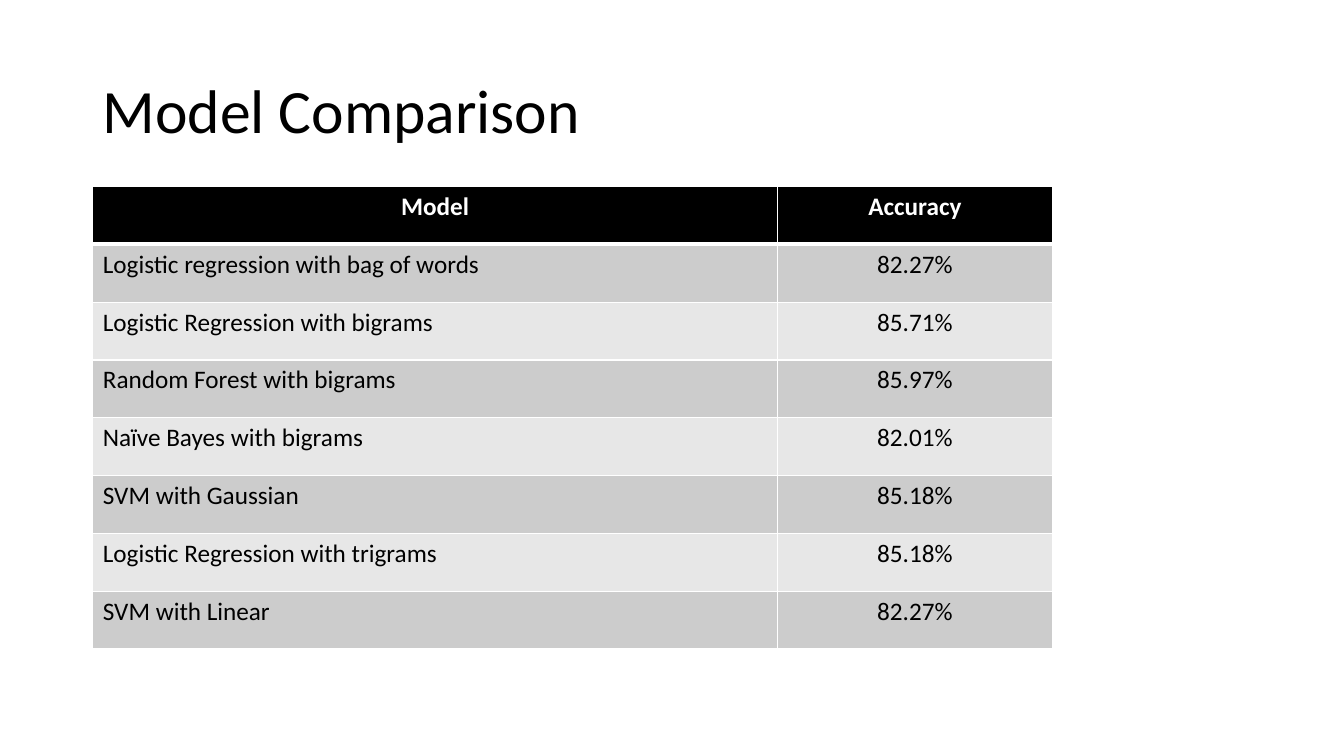
from lxml import etree
from pptx import Presentation
from pptx import util as u
from pptx.dml.color import RGBColor
from pptx.enum import text
from pptx.oxml.ns import qn

FONT = "Calibri"
BLACK, WHITE = "000000", "FFFFFF"
BANDS = ["CCCCCC", "E7E7E7"]
ROWS = [
    ("Model", "Accuracy"),
    ("Logistic regression with bag of words", "82.27%"),
    ("Logistic Regression with bigrams", "85.71%"),
    ("Random Forest with bigrams", "85.97%"),
    ("Naïve Bayes with bigrams", "82.01%"),
    ("SVM with Gaussian", "85.18%"),
    ("Logistic Regression with trigrams", "85.18%"),
    ("SVM with Linear", "82.27%"),
]


def color(code):
    return RGBColor.from_string(code)


def style(para, size, code, bold=False):
    font = para.font
    font.name, font.size, font.bold = FONT, u.Pt(size), bold
    font.color.rgb = color(code)


def add_title(slide, words, left, top, width, height):
    box = slide.shapes.add_textbox(*map(u.Inches, (left, top, width, height)))
    frame = box.text_frame
    frame.word_wrap = True
    frame.vertical_anchor = text.MSO_ANCHOR.MIDDLE
    para = frame.paragraphs[0]
    para.text = words
    para.line_spacing = 0.9
    style(para, 44, BLACK)


def add_edges(cell, widths):
    """Draw white cell borders; widths are in points by side."""
    props = cell._tc.get_or_add_tcPr()
    for side, width in widths.items():
        line = etree.SubElement(props, qn("a:ln" + side), w=str(u.Pt(width)))
        fill = etree.SubElement(line, qn("a:solidFill"))
        etree.SubElement(fill, qn("a:srgbClr"), val=WHITE)


def add_grid(slide, rows, left, top, widths, height):
    size = map(u.Inches, (left, top, sum(widths), height))
    table = slide.shapes.add_table(len(rows), len(widths), *size).table
    for col, width in zip(table.columns, widths):
        col.width = u.Inches(width)
    for i, row in enumerate(rows):
        head = i == 0
        for j, words in enumerate(row):
            cell = table.cell(i, j)
            # Thicker rule between the header and the body
            add_edges(cell, {"L": 1, "R": 1, "T": 3 if i == 1 else 1,
                             "B": 3 if head else 1})
            cell.fill.solid()
            cell.fill.fore_color.rgb = color(BLACK if head else BANDS[(i - 1) % 2])
            para = cell.text_frame.paragraphs[0]
            para.text = words
            if head or j == 1:
                para.alignment = text.PP_ALIGN.CENTER
            style(para, 18, WHITE if head else BLACK, head)


def main():
    deck = Presentation()
    deck.slide_width, deck.slide_height = u.Inches(13.33), u.Inches(7.5)
    slide = deck.slides.add_slide(deck.slide_layouts[6])
    # Title
    add_title(slide, "Model Comparison", 0.92, 0.4, 11.5, 1.45)
    # Accuracy table
    add_grid(slide, ROWS, 0.92, 1.85, [6.79, 2.73], 4.59)
    deck.save("out.pptx")


if __name__ == "__main__":
    main()
